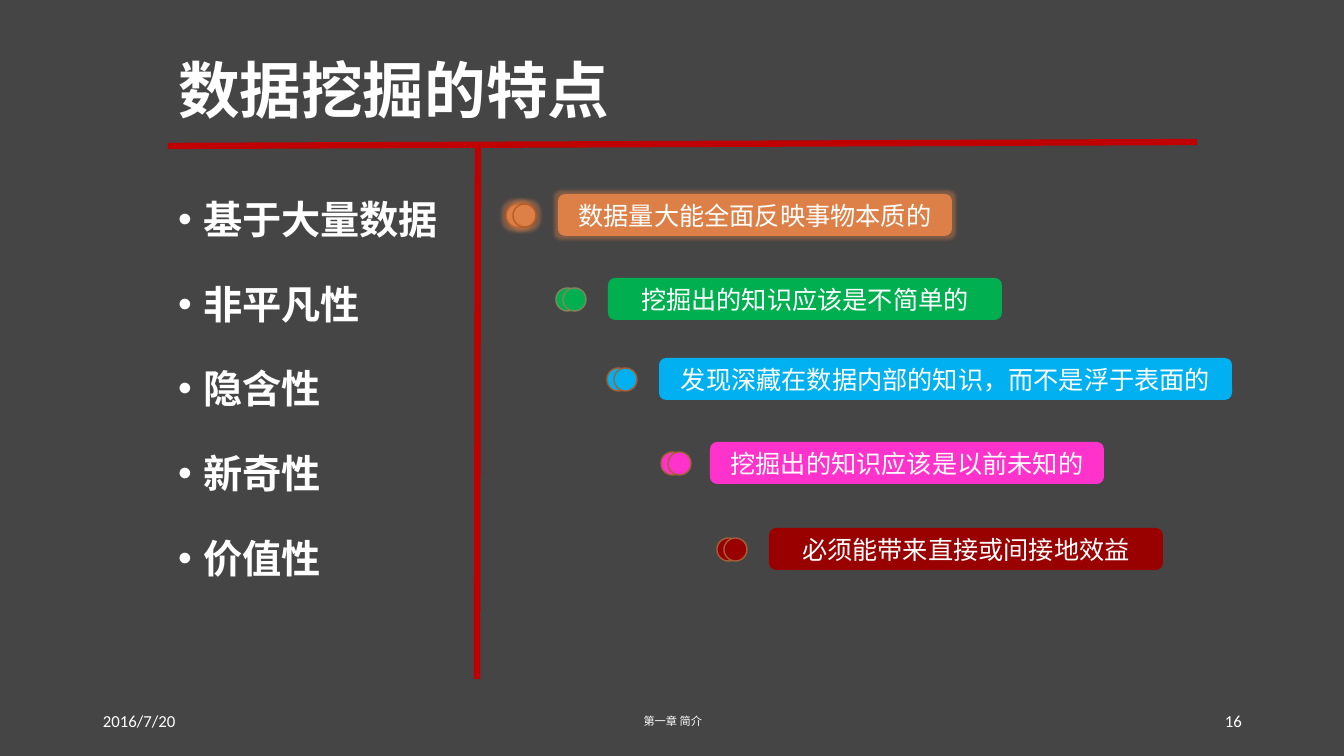
from lxml import etree
from pptx import Presentation
from pptx.dml.color import RGBColor
from pptx.enum.shapes import MSO_CONNECTOR, MSO_SHAPE
from pptx.enum.text import MSO_ANCHOR, MSO_AUTO_SIZE, PP_ALIGN
from pptx.oxml.ns import qn
from pptx.util import Emu, Pt

LEFT, CENTER, RIGHT = PP_ALIGN.LEFT, PP_ALIGN.CENTER, PP_ALIGN.RIGHT
MIDDLE, TOP = MSO_ANCHOR.MIDDLE, MSO_ANCHOR.TOP
NO_AUTOFIT = MSO_AUTO_SIZE.NONE
STRAIGHT = MSO_CONNECTOR.STRAIGHT
ROUNDED, OVAL = MSO_SHAPE.ROUNDED_RECTANGLE, MSO_SHAPE.OVAL

COLORS = {
    "background": "454545",
    "text": "FFFFFF",
    "rule": "C00000",
    "orange": "DD8047",
    "orange_edge": "B95B22",
    "green": "00B050",
    "green_edge": "81875A",
    "blue": "00B0F0",
    "pink": "FF33CC",
    "red": "990000",
    "brown_edge": "A35F35",
}
CHINESE, LATIN = "Noto Sans CJK SC", "Calibri"
EMU_PER_PX = 914400 / 100.8
PILL_HEIGHT, DOT_SIZE, DOT_STEP, DOT_DROP = 42, 23, 7, 10

TRAITS = ["基于大量数据", "非平凡性", "隐含性", "新奇性", "价值性"]
EXPLANATIONS = [
    ("数据量大能全面反映事物本质的", 558, 194, 394, 506, "orange", "orange_edge", True),
    ("挖掘出的知识应该是不简单的", 608, 278, 394, 556, "green", "green_edge", False),
    ("发现深藏在数据内部的知识，而不是浮于表面的", 659, 358, 573, 607, "blue", "brown_edge", False),
    ("挖掘出的知识应该是以前未知的", 710, 442, 394, 661, "pink", "brown_edge", False),
    ("必须能带来直接或间接地效益", 769, 528, 394, 717, "red", "brown_edge", False),
]
FOOTERS = [
    ("2016/7/20", 93, 302, 12, LATIN, LEFT),
    ("16", 950, 302, 12, LATIN, RIGHT),
    ("第一章 简介", 446, 454, 8, CHINESE, CENTER),
]


def px(length):
    return Emu(round(length * EMU_PER_PX))


def color(name):
    return RGBColor.from_string(COLORS[name])


class SlideBuilder:
    def __init__(self, slide):
        self.slide = slide
        slide.background.fill.solid()
        slide.background.fill.fore_color.rgb = color("background")

    def place(self, target, left, top, width, height):
        target.left, target.top = px(left), px(top)
        target.width, target.height = px(width), px(height)

    def fill_text(self, frame, lines, size, font=CHINESE, bold=False, align=LEFT,
                  anchor=MIDDLE, spacing=1.0, before=0, bullet=False):
        frame.word_wrap = True
        frame.auto_size = NO_AUTOFIT
        frame.vertical_anchor = anchor
        frame.text = "\n".join(lines)
        for paragraph in frame.paragraphs:
            properties = paragraph._p.get_or_add_pPr()
            if bullet:
                properties.set("marL", "228600")
                properties.set("indent", "-228600")
                etree.SubElement(properties, qn("a:buFont")).set("typeface", "Arial")
                etree.SubElement(properties, qn("a:buChar")).set("char", "•")
            paragraph.alignment = align
            paragraph.line_spacing = spacing
            paragraph.space_before = Pt(before)
            paragraph.font.size = Pt(size)
            paragraph.font.bold = bold
            paragraph.font.color.rgb = color("text")
            paragraph.font.name = font
            defaults = properties.find(qn("a:defRPr"))
            etree.SubElement(defaults, qn("a:ea")).set("typeface", font)

    def title(self, text, box):
        heading = self.slide.shapes.title
        self.place(heading, *box)
        self.fill_text(heading.text_frame, [text], 44, bold=True, spacing=0.9)

    def bullets(self, lines, box):
        body = self.slide.placeholders[1]
        self.place(body, *box)
        self.fill_text(body.text_frame, lines, 28, bold=True, anchor=TOP,
                       spacing=1.5, before=10, bullet=True)

    def rule(self, *ends):
        rule = self.slide.shapes.add_connector(STRAIGHT, *map(px, ends))
        rule.line.color.rgb = color("rule")
        rule.line.width = Pt(4.5)
        etree.SubElement(rule._element.spPr, qn("a:effectLst"))

    def shape(self, group, kind, box, fill, edge=None, glow=False):
        shape = group.shapes.add_shape(kind, *map(px, box))
        shape.fill.solid()
        shape.fill.fore_color.rgb = color(fill)
        if edge:
            shape.line.color.rgb = color(edge)
            shape.line.width = Pt(1)
        else:
            shape.line.fill.background()
        shape.shadow.inherit = False
        if glow:
            effects = shape._element.spPr.find(qn("a:effectLst"))
            halo = etree.SubElement(effects, qn("a:glow"), rad="63500")
            tint = etree.SubElement(halo, qn("a:srgbClr"), val=COLORS[fill])
            etree.SubElement(tint, qn("a:alpha"), val="40000")
        return shape

    def explanation(self, text, left, top, width, dot_left, fill, edge, glow):
        group = self.slide.shapes.add_group_shape()
        pill = self.shape(group, ROUNDED, (left, top, width, PILL_HEIGHT), fill, glow=glow)
        self.fill_text(pill.text_frame, [text], 18, align=CENTER)
        for step in range(2):
            dot = (dot_left + step * DOT_STEP, top + DOT_DROP, DOT_SIZE, DOT_SIZE)
            self.shape(group, OVAL, dot, fill, edge, glow)

    def footer(self, text, left, width, size, font, align):
        footer = self.slide.shapes.add_textbox(*map(px, (left, 701, width, 40)))
        self.fill_text(footer.text_frame, [text], size, font, align=align)


def main():
    deck = Presentation()
    deck.slide_width, deck.slide_height = px(1344), px(756)
    builder = SlideBuilder(deck.slides.add_slide(deck.slide_layouts[1]))
    builder.rule(168, 146, 1197, 142)
    builder.rule(478, 146, 477, 679)
    builder.title("数据挖掘的特点", (168, 21, 1029, 146))
    builder.bullets(TRAITS, (168, 167, 287, 511))
    for explanation in EXPLANATIONS:
        builder.explanation(*explanation)
    for footer in FOOTERS:
        builder.footer(*footer)
    deck.save("out.pptx")


if __name__ == "__main__":
    main()
